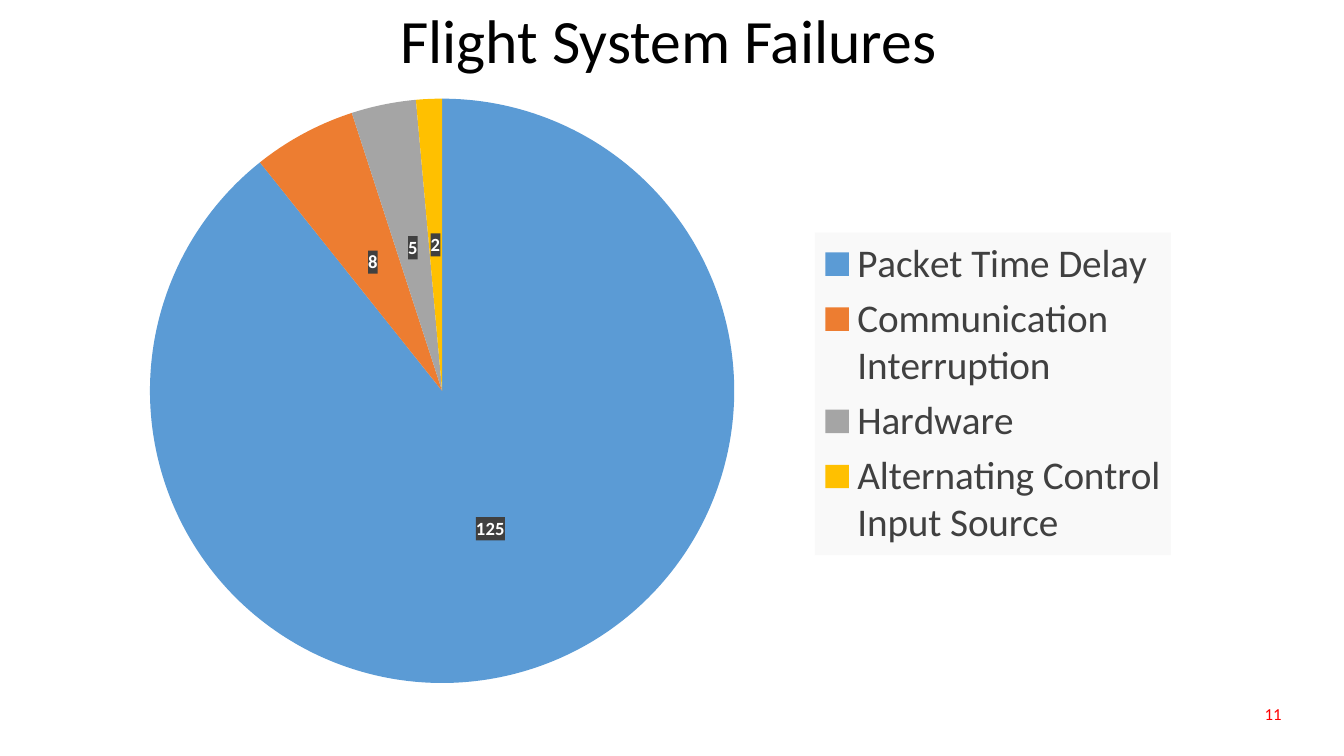
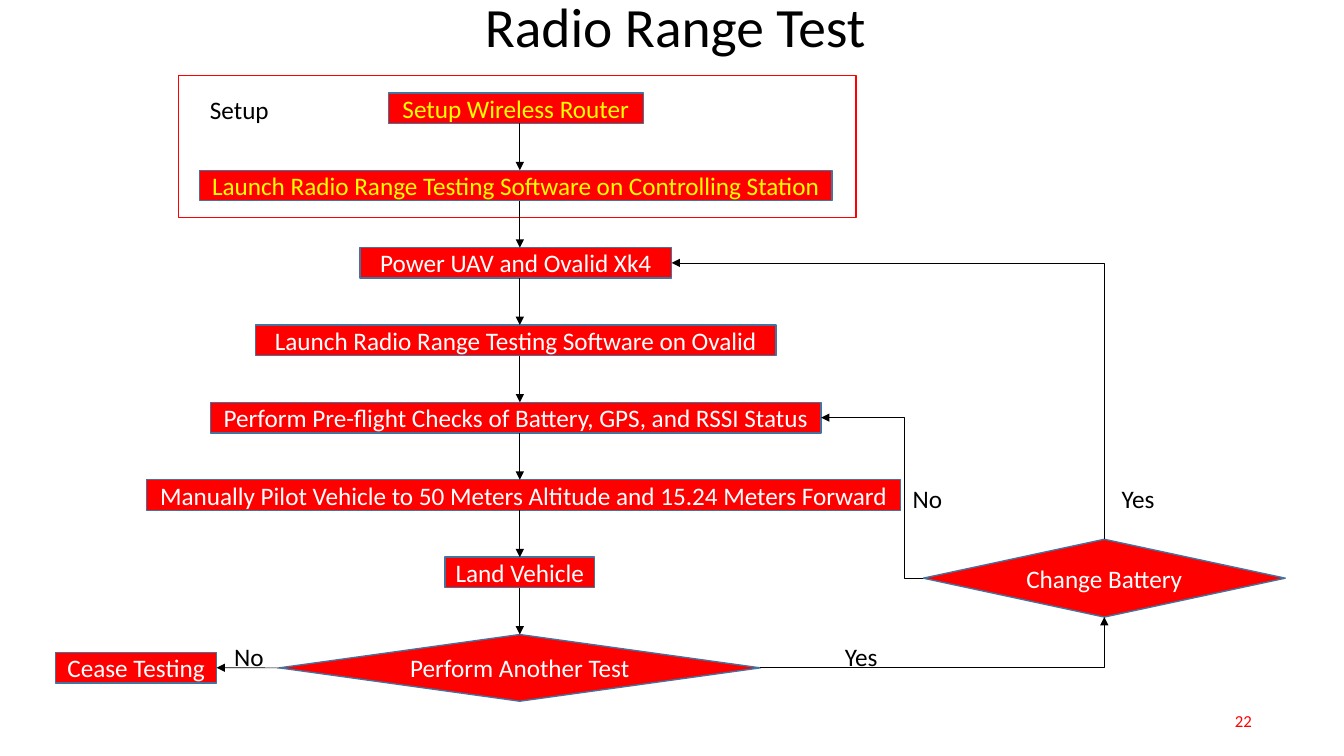
from pptx import Presentation
from pptx.chart.data import CategoryChartData
from pptx.dml.color import RGBColor
from pptx.enum import chart as ch, shapes as sh, text as tx
from pptx.oxml import parse_xml
from pptx.oxml.ns import nsdecls, qn
from pptx.util import Cm, Pt

BLACK = RGBColor(0, 0, 0)
WHITE = RGBColor(255, 255, 255)
RED = RGBColor(255, 0, 0)
YELLOW = RGBColor(255, 255, 0)
EDGE = RGBColor(0x43, 0x73, 0x9E)
GREY = RGBColor(0x40, 0x40, 0x40)
SLICES = [RGBColor(0x5B, 0x9B, 0xD5), RGBColor(0xED, 0x7D, 0x31),
          RGBColor(0xA5, 0xA5, 0xA5), RGBColor(0xFF, 0xC0, 0)]
FONT = "Calibri"
MID, LEFT, RIGHT = tx.PP_ALIGN.CENTER, tx.PP_ALIGN.LEFT, tx.PP_ALIGN.RIGHT


def write(shape, text, size, color, align):
    """Put one unwrapped, vertically centred line of text in a shape."""
    frame = shape.text_frame
    frame.word_wrap = False
    frame.auto_size = tx.MSO_AUTO_SIZE.NONE
    frame.vertical_anchor = tx.MSO_ANCHOR.MIDDLE
    frame.margin_left = frame.margin_right = 0
    frame.margin_top = frame.margin_bottom = 0
    para = frame.paragraphs[0]
    para.alignment = align
    run = para.add_run()
    run.text = text
    run.font.name = FONT
    run.font.size = Pt(size)
    run.font.color.rgb = color
    return para


def arrow(line, end="tailEnd"):
    """Style a connector as a thin black arrow without shadow."""
    line.line.color.rgb = BLACK
    line.line.width = Pt(0.5)
    line.line._get_or_add_ln().append(
        parse_xml(f'<a:{end} {nsdecls("a")} type="triangle"/>'))
    line._element.spPr.append(parse_xml(f'<a:effectLst {nsdecls("a")}/>'))


deck = Presentation()
deck.slide_width, deck.slide_height = Cm(33.87), Cm(19.05)

# Titles and page numbers: text, size, left, top, width, height; number, right, top
heads = [("Flight System Failures", 44, 9.75, 0, 14.2, 2.18, "11", 32.3, 17.48),
         ("Radio Range Test", 39.6, 9.5, -0.1, 15.04, 1.68, "22", 31.55, 17.65)]
slides = []
for name, size, x, y, w, h, page, edge, low in heads:
    slide = deck.slides.add_slide(deck.slide_layouts[5])
    title = slide.shapes.title
    title.left, title.top, title.width, title.height = Cm(x), Cm(y), Cm(w), Cm(h)
    write(title, name, size, BLACK, MID).line_spacing = 0.9
    foot = slide.shapes.add_textbox(Cm(edge - 7), Cm(low), Cm(7), Cm(1.02))
    write(foot, page, 12, RED, RIGHT)
    slides.append(slide)
pie_page, flow_page = slides

# Pie chart
data = CategoryChartData(number_format="General")
data.categories = ["Packet Time Delay", "Communication Interruption",
                   "Hardware", "Alternating Control Input Source"]
data.add_series("Series 1", [125, 8, 5, 2])
chart = pie_page.shapes.add_chart(ch.XL_CHART_TYPE.PIE, Cm(1.75), Cm(2.18),
                                  Cm(28.04), Cm(15.34), data).chart
chart.has_title = False
chart.font.name, chart.font.size = FONT, Pt(10)
plot = chart.plots[0]
plot.vary_by_categories = True
for i, color in enumerate(SLICES):
    fill = plot.series[0].points[i].format.fill
    fill.solid()
    fill.fore_color.rgb = color

plot.has_data_labels = True
labels = plot.data_labels
labels.show_value = True
labels.show_percentage = False
labels.position = ch.XL_LABEL_POSITION.CENTER
labels.font.name, labels.font.size = FONT, Pt(13.3)
labels.font.bold = True
labels.font.color.rgb = WHITE

chart.has_legend = True
legend = chart.legend
legend.position = ch.XL_LEGEND_POSITION.RIGHT
legend.include_in_layout = False
legend.font.name, legend.font.size = FONT, Pt(28)
legend.font.color.rgb = GREY

# Backings of the labels and the legend
for part, color in ((labels, GREY), (legend, "F9F9F9")):
    part._element.find(qn("c:txPr")).addprevious(parse_xml(
        f'<c:spPr {nsdecls("c", "a")}><a:solidFill>'
        f'<a:srgbClr val="{color}"/></a:solidFill></c:spPr>'))

# Places of the pie and the legend, as shares of the chart
area = chart._chartSpace.chart.plotArea
for part, inner, spot, place in (
        (area, '<c:layoutTarget val="inner"/>', 0, (0.07, 0.02, 0.53, 0.96)),
        (legend._element, "", 1, (0.67, 0.24, 0.32, 0.53))):
    for old in part.findall(qn("c:layout")):
        part.remove(old)
    modes = "".join(f'<c:{k}Mode val="edge"/>' for k in "xy")
    sizes = "".join(f'<c:{k} val="{v}"/>' for k, v in zip("xywh", place))
    part.insert(spot, parse_xml(
        f'<c:layout {nsdecls("c")}><c:manualLayout>{inner}{modes}{sizes}'
        '</c:manualLayout></c:layout>'))

# Flow chart: frame of the setup steps
flow = flow_page.shapes
RECT, DIAMOND = sh.MSO_SHAPE.RECTANGLE, sh.MSO_SHAPE.DIAMOND
frame = flow.add_shape(RECT, Cm(4.5), Cm(1.9), Cm(17.07), Cm(3.58))
frame.shadow.inherit = False
frame.fill.solid()
frame.fill.fore_color.rgb = WHITE
frame.line.color.rgb = RED
frame.line.width = Pt(1)

# Steps: text, centre, width, colour
TOP, STEP, HIGH, AXIS = 2.34, 1.95, 0.77, 13.1
steps = [("Setup Wireless Router", 13, 6.43, YELLOW),
         ("Launch Radio Range Testing Software on Controlling Station",
          13, 15.93, YELLOW),
         ("Power UAV and Ovalid Xk4", 13, 7.85, WHITE),
         ("Launch Radio Range Testing Software on Ovalid", 13, 13.11, WHITE),
         ("Perform Pre-flight Checks of Battery, GPS, and RSSI Status",
          13, 15.39, WHITE),
         ("Manually Pilot Vehicle to 50 Meters Altitude and 15.24 Meters Forward",
          13.2, 19, WHITE),
         ("Land Vehicle", AXIS, 3.76, WHITE)]
nodes = [(RECT, text, mid, TOP + i * STEP, w, HIGH, color)
         for i, (text, mid, w, color) in enumerate(steps)]
nodes += [(DIAMOND, "Perform Another Test", AXIS, TOP + 7 * STEP, 12.12, 1.68, WHITE),
          (RECT, "Cease Testing", 3.43, 16.44, 4.06, HIGH, WHITE),
          (DIAMOND, "Change Battery", 27.83, 13.59, 9.12, 1.96, WHITE)]
boxes = []
for kind, text, mid, y, w, h, color in nodes:
    box = flow.add_shape(kind, Cm(mid - w / 2), Cm(y), Cm(w), Cm(h))
    box.shadow.inherit = False
    box.fill.solid()
    box.fill.fore_color.rgb = RED
    box.line.color.rgb = EDGE
    box.line.width = Pt(1)
    write(box, text, 18, color, MID)
    boxes.append(box)

for i in range(len(steps)):
    y = TOP + i * STEP
    arrow(flow.add_connector(sh.MSO_CONNECTOR.STRAIGHT, Cm(AXIS), Cm(y + HIGH),
                             Cm(AXIS), Cm(y + STEP)))

# Branches: boxes joined at their sides (0 top, 1 left, 2 bottom, 3 right)
power, check = boxes[2], boxes[4]
again, cease, swap = boxes[7:]
STRAIGHT, ELBOW = sh.MSO_CONNECTOR.STRAIGHT, sh.MSO_CONNECTOR.ELBOW
for kind, form, start, out, stop, into, end in (
        (STRAIGHT, "line", again, 1, cease, 3, "tailEnd"),
        (ELBOW, "bentConnector2", again, 3, swap, 2, "tailEnd"),
        (ELBOW, "bentConnector2", power, 3, swap, 0, "headEnd"),
        (ELBOW, "bentConnector3", swap, 1, check, 3, "tailEnd")):
    link = flow.add_connector(kind, 0, 0, 0, 0)
    link.begin_connect(start, out)
    link.end_connect(stop, into)
    geom = link._element.spPr.find(qn("a:prstGeom"))
    geom.set("prst", form)
    if form == "bentConnector3":
        geom.find(qn("a:avLst")).append(parse_xml(
            f'<a:gd {nsdecls("a")} name="adj1" fmla="val 18300"/>'))
    arrow(link, end)

for text, x, y in (("Setup", 5.29, 2.26), ("No", 5.9, 16.05), ("Yes", 21.29, 16.05),
                   ("No", 23, 12.05), ("Yes", 28.27, 12.05)):
    note = flow.add_textbox(Cm(x), Cm(y), Cm(1.6), Cm(1))
    write(note, text, 18, BLACK, LEFT)

deck.save("out.pptx")
